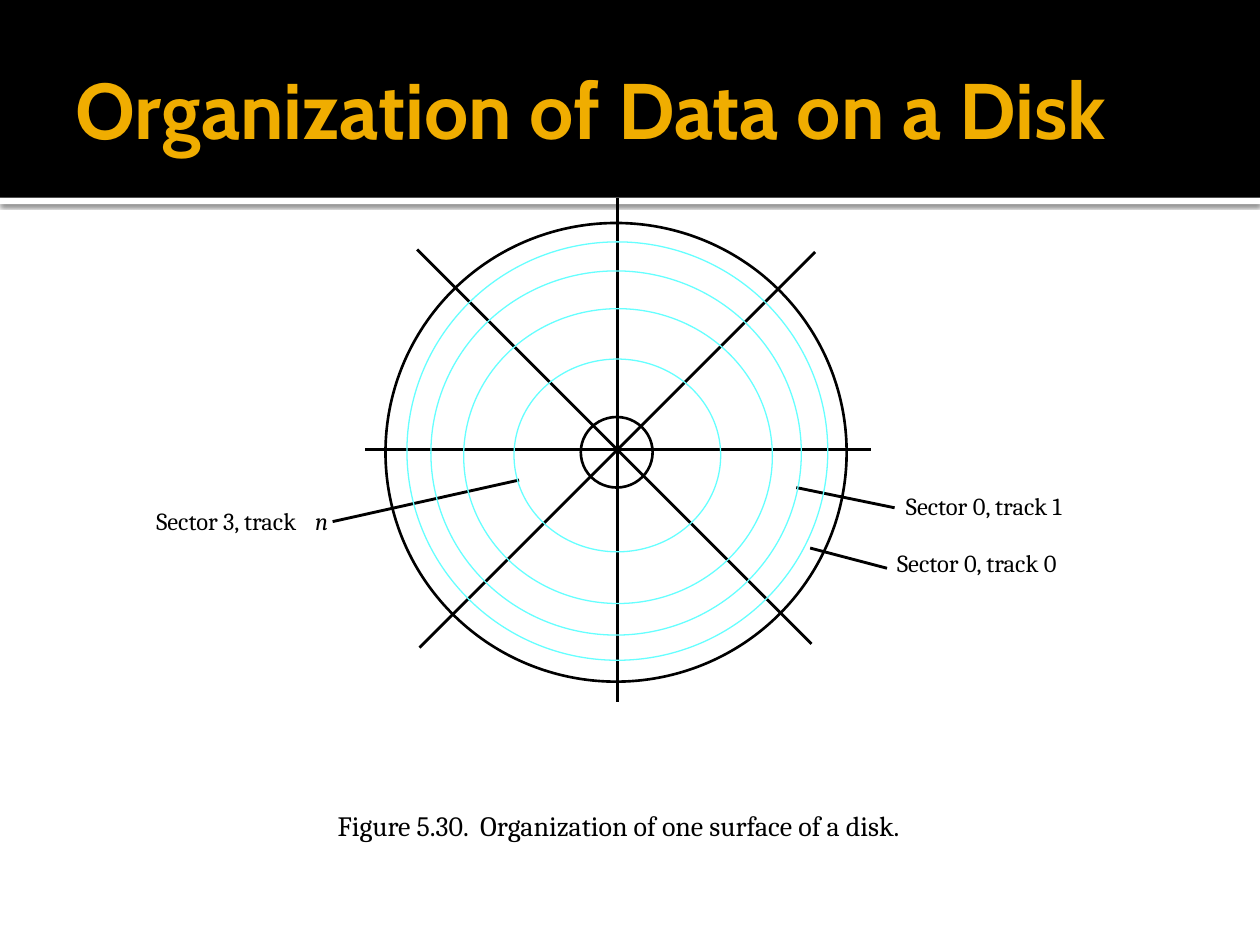
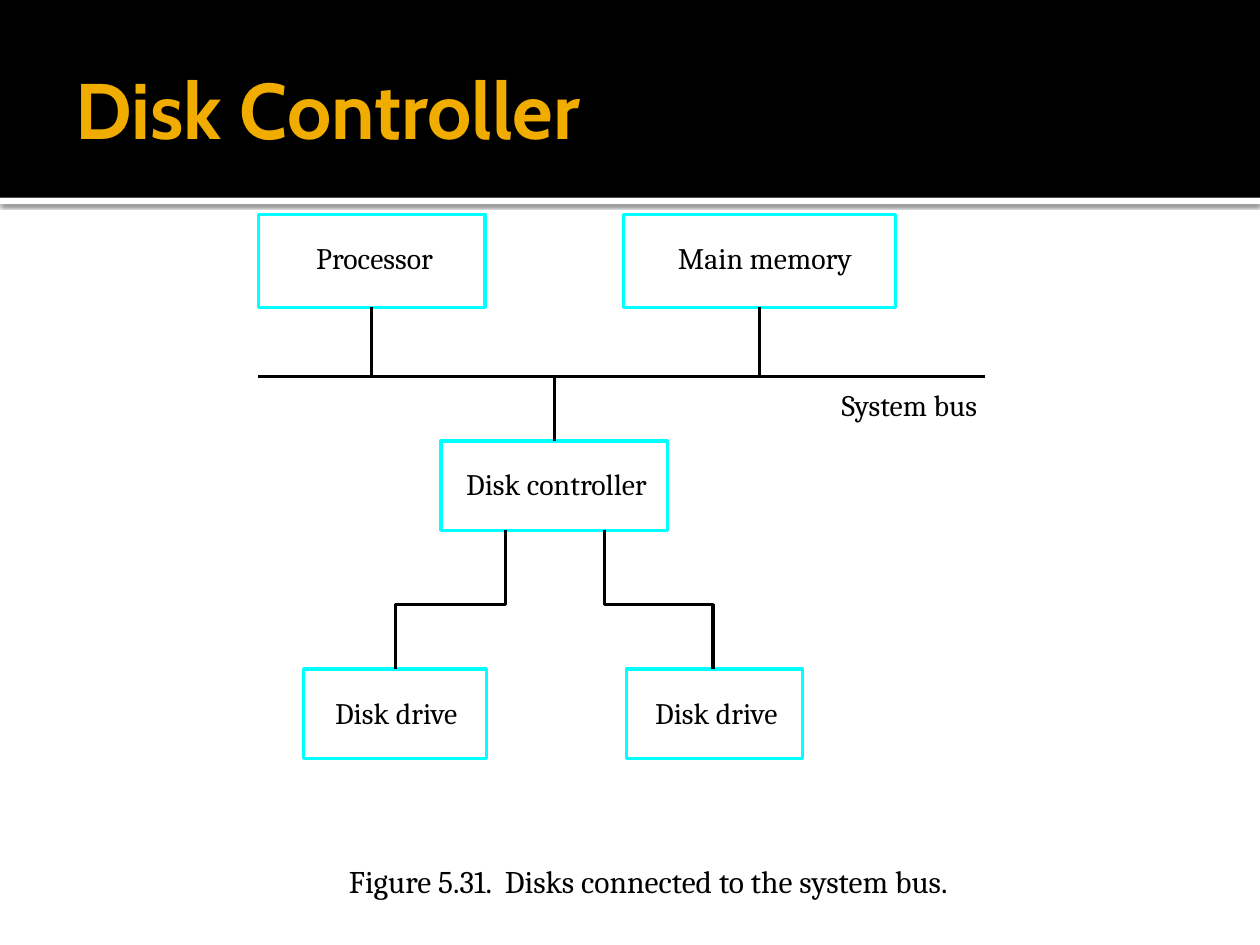
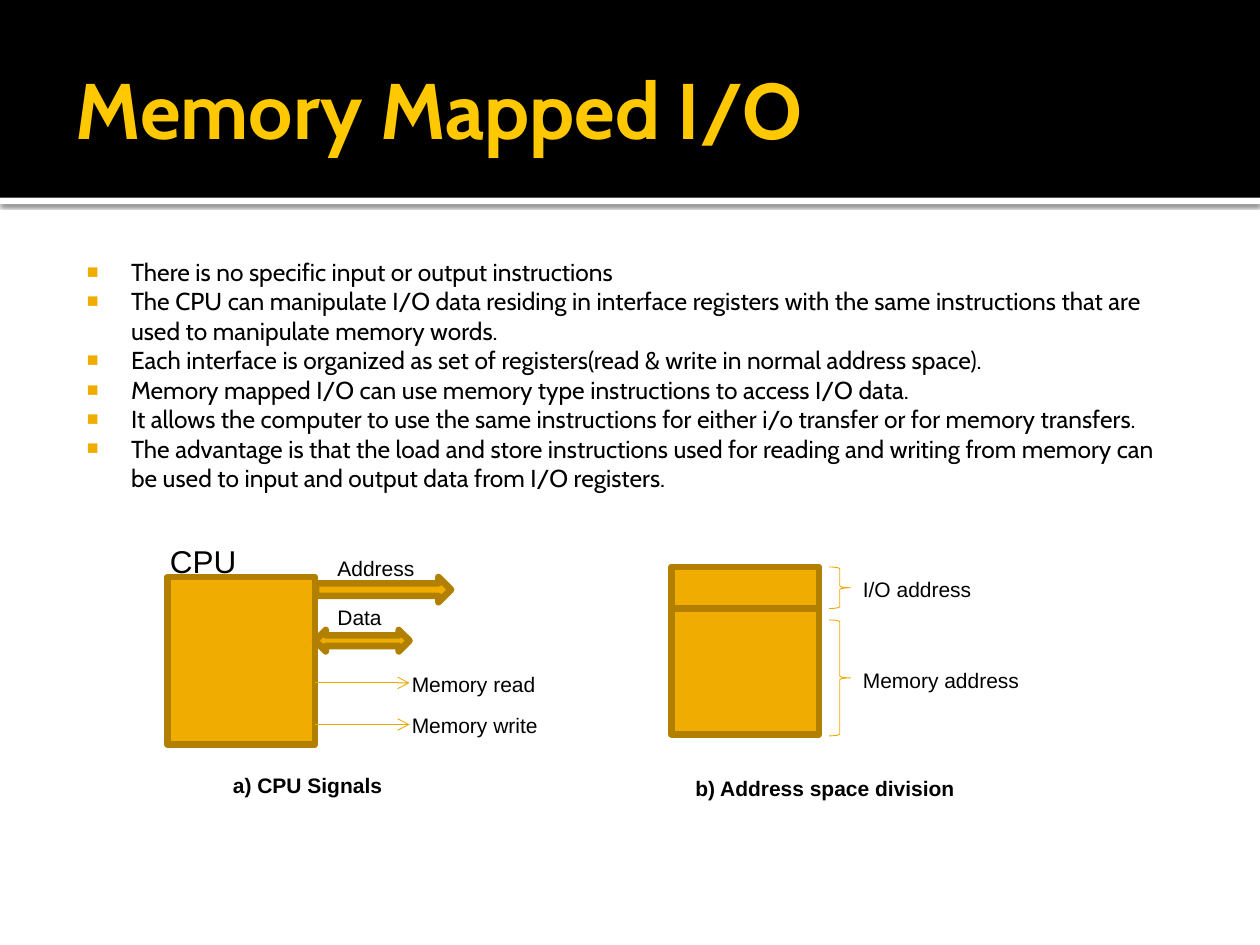
from lxml.etree import SubElement
from pptx import Presentation
from pptx.dml.color import RGBColor
from pptx.enum.shapes import MSO_CONNECTOR, MSO_SHAPE as Preset
from pptx.enum.text import MSO_ANCHOR, MSO_AUTO_SIZE as AutoSize, PP_ALIGN
from pptx.oxml import parse_xml
from pptx.oxml.ns import nsdecls, qn
from pptx.util import Inches, Pt

COLORS = {
    "black": "000000",
    "white": "FFFFFF",
    "gold": "F0AD00",
    "bright_gold": "FFC800",
    "thin_gold": "EBA900",
    "dark_gold": "B28000",
    "track": "66FFFF",
    "cyan": "00FFFF",
}
TITLE_FONT, FIGURE_FONT, LABEL_FONT = "Cabin", "Cambria", "Arial"
TITLE_AND_CONTENT, TITLE_ONLY = 1, 5


def color(name):
    return RGBColor.from_string(COLORS[name])


def inches(*values):
    return [Inches(value) for value in values]


class Deck:
    def __init__(self):
        self.presentation = Presentation()
        self.presentation.slide_width = Inches(10)
        self.presentation.slide_height = Inches(7.5)
        self.slide = None
        self.shapes = None

    def add_slide(self, title, title_color="gold", layout=TITLE_ONLY):
        layouts = self.presentation.slide_layouts
        self.slide = self.presentation.slides.add_slide(layouts[layout])
        self.shapes = self.slide.shapes
        placeholder = self.shapes.title
        self.place(placeholder, 0.5, 0.17, 9, 1.37)
        frame = placeholder.text_frame
        frame.text = title
        frame.auto_size = AutoSize.NONE
        frame.vertical_anchor = MSO_ANCHOR.MIDDLE
        self.margins(frame, 0.1, 0.05, 0.05, 0.05)
        frame.paragraphs[0].alignment = PP_ALIGN.LEFT
        self.font(frame, 45, TITLE_FONT, title_color, bold=True)

    def move_to_master(self, shapes):
        tree = self.presentation.slide_master.shapes._spTree
        for index, shape in enumerate(shapes, 2):
            tree.insert(index, shape._element)

    def start_group(self):
        self.shapes = self.slide.shapes.add_group_shape().shapes

    def place(self, shape, left, top, width, height):
        shape.left, shape.top, shape.width, shape.height = inches(left, top, width, height)

    def margins(self, frame, left, top, right, bottom):
        frame.margin_left, frame.margin_top = inches(left, top)
        frame.margin_right, frame.margin_bottom = inches(right, bottom)

    def font(self, frame, size, name, color_name="black", bold=False, italic=False):
        for paragraph in frame.paragraphs:
            for run in paragraph.runs:
                run.font.size = Pt(size)
                run.font.name = name
                run.font.bold = bold
                run.font.italic = italic
                run.font.color.rgb = color(color_name)

    def outline(self, shape, line, width):
        shape.shadow.inherit = False
        if line:
            shape.line.color.rgb = color(line)
            shape.line.width = Pt(width)
        else:
            shape.line.fill.background()

    def shape(self, preset, box, fill=None, line=None, width=1):
        shape = self.shapes.add_shape(preset, *inches(*box))
        if fill:
            shape.fill.solid()
            shape.fill.fore_color.rgb = color(fill)
        else:
            shape.fill.background()
        self.outline(shape, line, width)
        return shape

    def line(self, start, end, width, line="black", arrow=False):
        connector = self.shapes.add_connector(MSO_CONNECTOR.STRAIGHT, *inches(*start, *end))
        connector.line.color.rgb = color(line)
        connector.line.width = Pt(width)
        if arrow:
            SubElement(connector.line._get_or_add_ln(), qn("a:tailEnd"), type="arrow")
        SubElement(connector._element.spPr, qn("a:effectLst"))
        return connector

    def polyline(self, points, width):
        start, *rest = [inches(*point) for point in points]
        builder = self.shapes.build_freeform(*start, scale=1.0)
        builder.add_line_segments(rest, close=False)
        shape = builder.convert_to_shape()
        shape.fill.background()
        self.outline(shape, "black", width)

    def text(self, text, box, size, name, wrap=True, **style):
        frame = self.shapes.add_textbox(*inches(*box)).text_frame
        frame.text = text
        frame.word_wrap = wrap
        frame.auto_size = AutoSize.SHAPE_TO_FIT_TEXT
        self.font(frame, size, name, **style)
        return frame

    def figure_text(self, text, box, size, **style):
        frame = self.text(text, box, size, FIGURE_FONT, wrap=False, **style)
        self.margins(frame, 0, 0, 0, 0)

    def label(self, text, left, top, width, size=12, bold=False):
        self.text(text, (left, top, width, size / 40), size, LABEL_FONT, bold=bold)

    def bullets(self, items, box):
        placeholder = self.slide.placeholders[1]
        self.place(placeholder, *box)
        frame = placeholder.text_frame
        frame.text = "\n".join(items)
        frame.auto_size = AutoSize.NONE
        self.margins(frame, 0.06, 0.1, 0.1, 0.05)
        self.font(frame, 14, TITLE_FONT)
        for paragraph in frame.paragraphs:
            paragraph.space_before = Pt(0)
            properties = paragraph._p.get_or_add_pPr()
            properties.set("marL", str(Inches(0.48)))
            properties.set("indent", str(Inches(-0.35)))
            bullet_color = SubElement(properties, qn("a:buClr"))
            SubElement(bullet_color, qn("a:srgbClr"), val=COLORS["gold"])
            SubElement(properties, qn("a:buSzPct"), val="80000")
            SubElement(properties, qn("a:buFont"), typeface=LABEL_FONT)
            SubElement(properties, qn("a:buChar"), char="■")


def add_bands(deck):
    strip = deck.shape(Preset.RECTANGLE, (0, 1.57, 10, 0.05), "white")
    properties = strip._element.spPr
    properties.remove(properties.find(qn("a:effectLst")))
    properties.append(parse_xml(
        f'<a:effectLst {nsdecls("a")}>'
        f'<a:outerShdw blurRad="{Pt(2.5)}" dist="{Pt(0.8)}" dir="5400000" rotWithShape="0">'
        f'<a:srgbClr val="{COLORS["black"]}"><a:alpha val="60000"/></a:srgbClr>'
        '</a:outerShdw></a:effectLst>'))
    band = deck.shape(Preset.RECTANGLE, (0, 0, 10, 1.57), "black")
    deck.move_to_master([strip, band])


def build_disk_surface(deck):
    deck.add_slide("Organization of Data on a Disk")
    add_bands(deck)
    for text, left, top, width in [
        ("Sector 0, track 0", 7.12, 4.35, 1.41),
        ("Sector 3, track", 1.24, 4.02, 1.25),
        ("Sector 0, track 1", 7.19, 3.9, 1.41),
    ]:
        deck.figure_text(text, (left, top, width, 0.23), 14)
    deck.figure_text("n", (2.5, 4.02, 0.11, 0.23), 14, italic=True)
    deck.figure_text("Figure 5.30.  Organization of one surface of a disk.",
                     (2.68, 6.42, 4.99, 0.27), 16)
    pointers = [((2.64, 4.14), (4.12, 3.81)),
                ((7.04, 4.51), (6.43, 4.35)),
                ((7.1, 4.03), (6.32, 3.87))]
    spokes = [((4.9, 5.57), (4.9, 1.57)),
              ((6.91, 3.57), (2.9, 3.57)),
              ((3.33, 5.14), (6.47, 2)),
              ((3.31, 1.98), (6.44, 5.11))]
    for start, end in pointers + spokes:
        deck.line(start, end, 1.63)
    tracks = [(3.23, 1.92, 3.34, 3.32), (3.42, 2.15, 2.94, 2.89),
              (3.68, 2.45, 2.45, 2.34), (4.08, 2.85, 1.64, 1.53)]
    for track in tracks:
        deck.shape(Preset.OVAL, track, line="track", width=0.75)
    for rim in [(3.06, 1.77, 3.66, 3.64), (4.61, 3.31, 0.57, 0.56)]:
        deck.shape(Preset.OVAL, rim, line="black", width=1.5)


def build_disk_controller(deck):
    deck.add_slide("Disk Controller")
    line_width, bus_y, top_side, bottom_side = 1.88, 2.99, 0, 2
    units = [
        ("Processor", (2.05, 1.7, 1.8, 0.74), 2.51, 1.06, bottom_side),
        ("Main memory", (4.95, 1.7, 2.16, 0.74), 5.38, 1.43, bottom_side),
        ("Disk controller", (3.5, 3.5, 1.8, 0.71), 3.7, 1.5, top_side),
        ("Disk drive", (2.41, 5.31, 1.45, 0.71), 2.66, 1.04, None),
        ("Disk drive", (4.97, 5.31, 1.4, 0.71), 5.2, 1.04, None),
    ]
    deck.line((7.82, bus_y), (2.05, bus_y), line_width)
    for text, box, text_left, text_width, bus_side in units:
        left, top, width, height = box
        unit = deck.shape(Preset.RECTANGLE, box, line="cyan", width=line_width)
        deck.figure_text(text, (text_left, top + 0.2, text_width, 0.28), 17)
        if bus_side is not None:
            middle = left + width / 2
            drop = deck.line((middle, bus_y), (middle, top), line_width)
            drop.end_connect(unit, bus_side)
    for drive_x, controller_x in [(3.14, 4.01), (5.66, 4.8)]:
        deck.polyline([(drive_x, 5.31), (drive_x, 4.8),
                       (controller_x, 4.8), (controller_x, 4.21)], line_width)
    deck.figure_text("System bus", (6.68, 3.07, 1.24, 0.28), 17)
    deck.figure_text("Figure 5.31.  Disks connected to the system bus.",
                     (2.77, 6.84, 5.4, 0.3), 18)


def build_memory_mapped(deck):
    deck.add_slide("Memory Mapped I/O", "bright_gold", TITLE_AND_CONTENT)
    deck.bullets([
        "There is no specific input or output instructions",
        "The CPU can manipulate I/O data residing in interface registers with the same "
        "instructions that are used to manipulate memory words.",
        "Each interface is organized as set of registers(read & write in normal address space).",
        "Memory mapped I/O can use memory type instructions to access I/O data.",
        "It allows the computer to use the same instructions for either i/o transfer or for "
        "memory transfers.",
        "The advantage is that the load and store instructions used for reading and writing "
        "from memory can be used to input and output data from I/O registers.",
    ], (0.5, 1.94, 9, 5.06))
    solid = {"fill": "gold", "line": "dark_gold", "width": 3.78}

    deck.start_group()
    deck.shape(Preset.RECTANGLE, (1.33, 4.58, 1.17, 1.33), **solid)
    deck.shape(Preset.LEFT_RIGHT_ARROW, (2.5, 5, 0.75, 0.17), **solid)
    deck.shape(Preset.RIGHT_ARROW, (2.51, 4.58, 1.07, 0.2), **solid)
    for text, signal_y in [("Memory read", 5.42), ("Memory write", 5.75)]:
        deck.line((2.5, signal_y), (3.25, signal_y), 0.5, "thin_gold", arrow=True)
        deck.label(text, 3.17, signal_y - 0.14, 1.33)
    deck.label("Data", 2.58, 4.75, 0.67)
    deck.label("Address", 2.58, 4.36, 0.83)
    deck.label("CPU", 1.25, 4.25, 1.17, size=18)
    deck.label("a) CPU Signals", 1.75, 6.08, 1.75, bold=True)

    deck.start_group()
    for text, top, height, brace_top, brace_height, text_top in [
        ("I/O address", 4.5, 0.33, 4.5, 0.33, 4.53),
        ("Memory address", 4.83, 1, 4.92, 0.92, 5.25),
    ]:
        deck.shape(Preset.RECTANGLE, (5.33, top, 1.17, height), **solid)
        deck.shape(Preset.RIGHT_BRACE, (6.58, brace_top, 0.17, brace_height),
                   line="thin_gold", width=0.5)
        deck.label(text, 6.75, text_top, 1.5)
    deck.label("b) Address space division", 5.42, 6.11, 3, bold=True)


def main():
    deck = Deck()
    build_disk_surface(deck)
    build_disk_controller(deck)
    build_memory_mapped(deck)
    deck.presentation.save("out.pptx")


if __name__ == "__main__":
    main()
